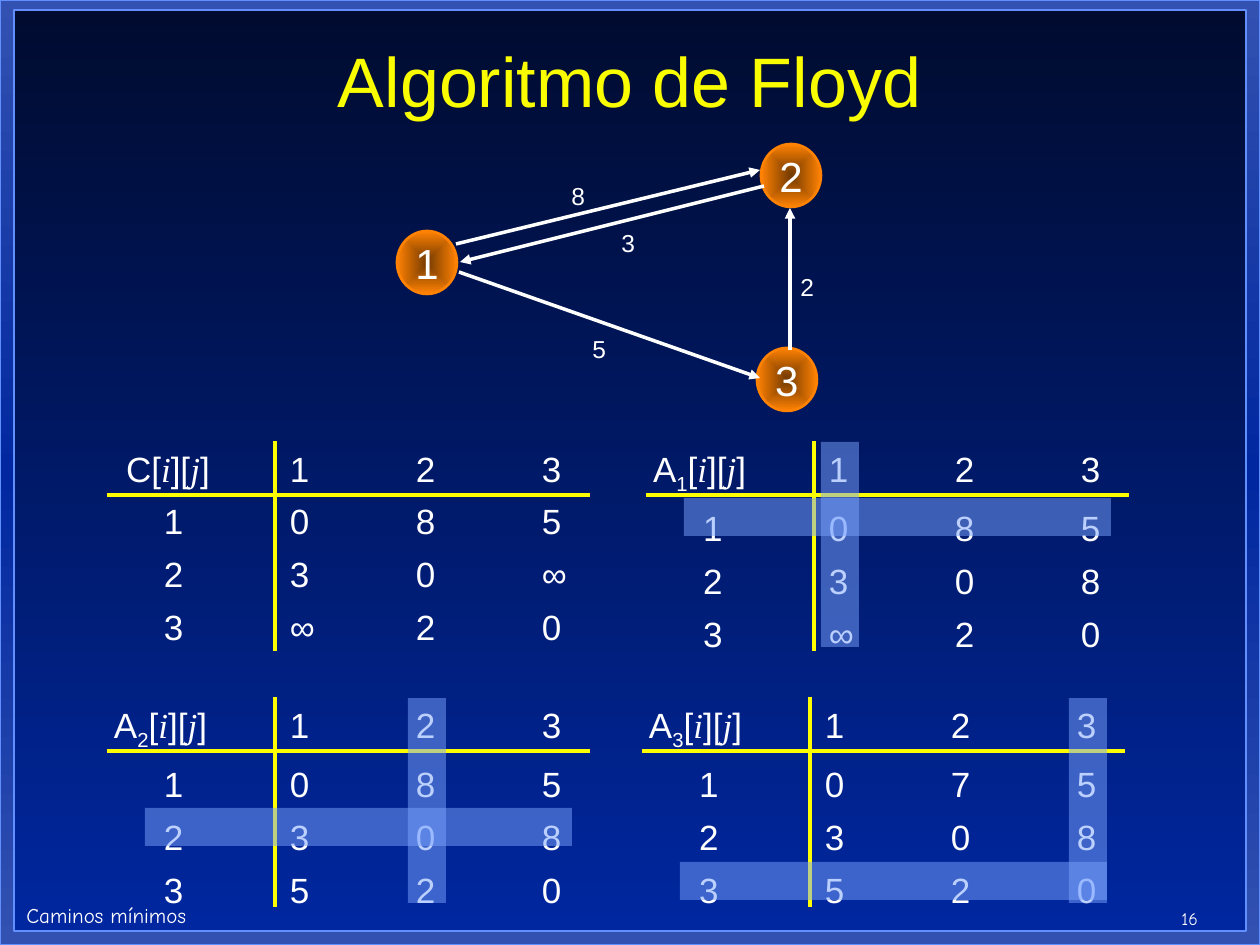
from lxml import etree
from pptx import Presentation
from pptx.dml.color import RGBColor
from pptx.enum.shapes import MSO_CONNECTOR, MSO_SHAPE
from pptx.enum.text import MSO_ANCHOR, PP_ALIGN
from pptx.oxml.ns import qn
from pptx.util import Pt

EMU_PER_INCH, PX_PER_INCH = 914400, 126
LINE = MSO_CONNECTOR.STRAIGHT
RECT, OVAL = MSO_SHAPE.RECTANGLE, MSO_SHAPE.OVAL
TOP, MIDDLE = MSO_ANCHOR.TOP, MSO_ANCHOR.MIDDLE
LEFT, CENTER = PP_ALIGN.LEFT, PP_ALIGN.CENTER

WHITE = RGBColor(0xFF, 0xFF, 0xFF)
TITLE_YELLOW = RGBColor(0xFA, 0xFD, 0x00)
RULE_YELLOW = RGBColor(0xFF, 0xFF, 0x00)
FRAME_LINE = RGBColor(0x61, 0x8F, 0xFD)
FRAME_BLUE = RGBColor(0x32, 0x51, 0xB1)
BLUE = RGBColor(0x00, 0x27, 0x9F)
MID_BLUE = RGBColor(0x00, 0x1F, 0x7E)
NIGHT = RGBColor(0x00, 0x0B, 0x2F)
ORANGE = RGBColor(0xFF, 0x82, 0x03)
BROWN = RGBColor(0x75, 0x3B, 0x01)
HIGHLIGHT = RGBColor(0x7A, 0xA3, 0xFE)

SANS, SERIF, HAND = "Arial", "Times New Roman", "Comic Neue"
NO_STYLE = "{2D5ABB26-0587-4C30-8999-92F81FD0307C}"
COL_WIDTHS = (168, 126, 126, 63)
ROW_H = 53


def px(n):
    return round(n * EMU_PER_INCH / PX_PER_INCH)


def add_text(p, text, size=20, font=SANS, color=WHITE, italic=False, sub=False):
    r = p.add_run()
    r.text = text
    r.font.size, r.font.name, r.font.italic = Pt(size), font, italic
    r.font.color.rgb = color
    if sub:
        r.font._element.set("baseline", "-25000")


def set_gradient(fill, parent, colors, angle=None):
    """Even colour stops; linear at an angle, or from the centre without one."""
    fill.gradient()
    grad = parent.find(qn("a:gradFill"))
    for child in list(grad):
        grad.remove(child)
    stops = etree.SubElement(grad, qn("a:gsLst"))
    for i, color in enumerate(colors):
        gs = etree.SubElement(stops, qn("a:gs"), pos=str(100000 * i // (len(colors) - 1)))
        etree.SubElement(gs, qn("a:srgbClr"), val=str(color))
    if angle is None:
        center = etree.SubElement(grad, qn("a:path"), path="rect")
        etree.SubElement(center, qn("a:fillToRect"), l="50000", t="50000", r="50000", b="50000")
    else:
        etree.SubElement(grad, qn("a:lin"), ang=str(angle * 60000), scaled="0")


class Deck:
    def __init__(self, prs):
        self.s = prs.slides.add_slide(prs.slide_layouts[6])

    def background(self, colors, angle):
        fill = self.s.background.fill
        fill.solid()
        set_gradient(fill, self.s._element.find(".//" + qn("p:bgPr")), colors, angle)

    def shape(self, kind, x, y, w, h, colors, angle=None, line=None, line_pt=1):
        sp = self.s.shapes.add_shape(kind, px(x), px(y), px(w), px(h))
        sp.shadow.inherit = False
        set_gradient(sp.fill, sp._element.spPr, colors, angle)
        sp.line.color.rgb, sp.line.width = line, Pt(line_pt)
        return sp

    def node(self, x, y, label):
        sp = self.shape(OVAL, x, y, 60, 63, (BROWN, ORANGE), line=ORANGE, line_pt=1.5)
        tf = sp.text_frame
        tf.word_wrap, tf.vertical_anchor = False, MIDDLE
        tf.paragraphs[0].alignment = CENTER
        add_text(tf.paragraphs[0], label, size=24)

    def band(self, x, y, w, h):
        sp = self.s.shapes.add_shape(RECT, px(x), px(y), px(w), px(h))
        sp.shadow.inherit = False
        sp.fill.solid()
        sp.fill.fore_color.rgb = HIGHLIGHT
        sp.line.fill.background()
        color = sp._element.spPr.find(qn("a:solidFill"))[0]
        etree.SubElement(color, qn("a:alpha"), val="50000")

    def line(self, x1, y1, x2, y2, color, arrow=False):
        c = self.s.shapes.add_connector(LINE, px(x1), px(y1), px(x2), px(y2))
        c.line.color.rgb, c.line.width = color, Pt(2)
        if arrow:
            etree.SubElement(c.line._get_or_add_ln(), qn("a:tailEnd"), type="triangle")
        etree.SubElement(c._element.spPr, qn("a:effectLst"))

    def text(self, x, y, w, h, text, align=LEFT, anchor=TOP, wrap=False, **fmt):
        tf = self.s.shapes.add_textbox(px(x), px(y), px(w), px(h)).text_frame
        tf.word_wrap, tf.vertical_anchor = wrap, anchor
        tf.paragraphs[0].alignment = align
        add_text(tf.paragraphs[0], text, **fmt)

    def matrix(self, x, y, name, index, values, pivot=None):
        # Rules
        self.line(x + 168, y, x + 168, y + 210, RULE_YELLOW)
        self.line(x, y + 54, x + sum(COL_WIDTHS), y + 54, RULE_YELLOW)
        # Values
        head_h = 59 if index else 52
        heights = (head_h, ROW_H, ROW_H, ROW_H)
        table = self.s.shapes.add_table(4, 4, px(x), px(y + 10), px(sum(COL_WIDTHS)),
                                        px(sum(heights))).table
        table.first_row = table.horz_banding = False
        table._tbl.tblPr.find(qn("a:tableStyleId")).text = NO_STYLE
        for col, w in zip(table.columns, COL_WIDTHS):
            col.width = px(w)
        for row, h in zip(table.rows, heights):
            row.height = px(h)
        rows = [" 123"] + [f"{i}{line}" for i, line in enumerate(values, 1)]
        for i, line in enumerate(rows):
            for j, value in enumerate(line):
                cell = table.cell(i, j)
                cell.fill.background()
                cell.margin_top = cell.margin_bottom = cell.margin_right = 0
                cell.margin_left = px(15 if j else 57)
                p = cell.text_frame.paragraphs[0]
                if i or j:
                    add_text(p, value)
                    continue
                cell.margin_left = px(7 if index else 19)
                add_text(p, name)
                if index:
                    add_text(p, index, sub=True)
                for part in ("[", "i", "][", "j", "]"):
                    is_var = part.isalpha()
                    add_text(p, part, font=SERIF if is_var else SANS, italic=is_var)
        # Pivot column and row
        if pivot is not None:
            self.band(x + 175 + 126 * pivot, y + 1, 38, 205)
            self.band(x + 38, y + 57 + 54 * pivot, 427, 38)


def main():
    prs = Presentation()
    prs.slide_width, prs.slide_height = px(1260), px(945)
    d = Deck(prs)

    # Frame, footer and title
    d.background((BLUE, MID_BLUE, BLUE), 180)
    d.shape(RECT, 0, 0, 1260, 945, (FRAME_BLUE, BLUE, FRAME_BLUE), 90, FRAME_LINE)
    d.shape(RECT, 14, 10, 1232, 921, (NIGHT, BLUE), 90, FRAME_LINE)
    d.text(14, 896, 185, 38, "Caminos mínimos", size=12, font=HAND)
    d.text(1169, 902, 90, 34, "16", size=10, font=HAND)
    d.text(94, 0, 1071, 158, "Algoritmo de Floyd", align=CENTER, anchor=MIDDLE, wrap=True,
           size=40, color=TITLE_YELLOW)

    # Graph
    for x, y, label in ((397, 231, "1"), (761, 144, "2"), (757, 348, "3")):
        d.node(x, y, label)
    for ends in ((459, 272, 760, 378), (456, 244, 760, 170),
                 (764, 186, 460, 262), (790, 350, 790, 208)):
        d.line(*ends, WHITE, arrow=True)
    for x, y, cost in ((580, 328, "5"), (559, 175, "8"), (609, 222, "3"), (788, 266, "2")):
        d.text(x, y, 39, 43, cost, size=14)

    # Cost matrix and its three iterations
    d.matrix(107, 441, "C", "", ("085", "30∞", "∞20"))
    d.matrix(646, 441, "A", "1", ("085", "308", "∞20"), pivot=0)
    d.matrix(107, 697, "A", "2", ("085", "308", "520"), pivot=1)
    d.matrix(642, 697, "A", "3", ("075", "308", "520"), pivot=2)

    prs.save("out.pptx")


if __name__ == "__main__":
    main()
